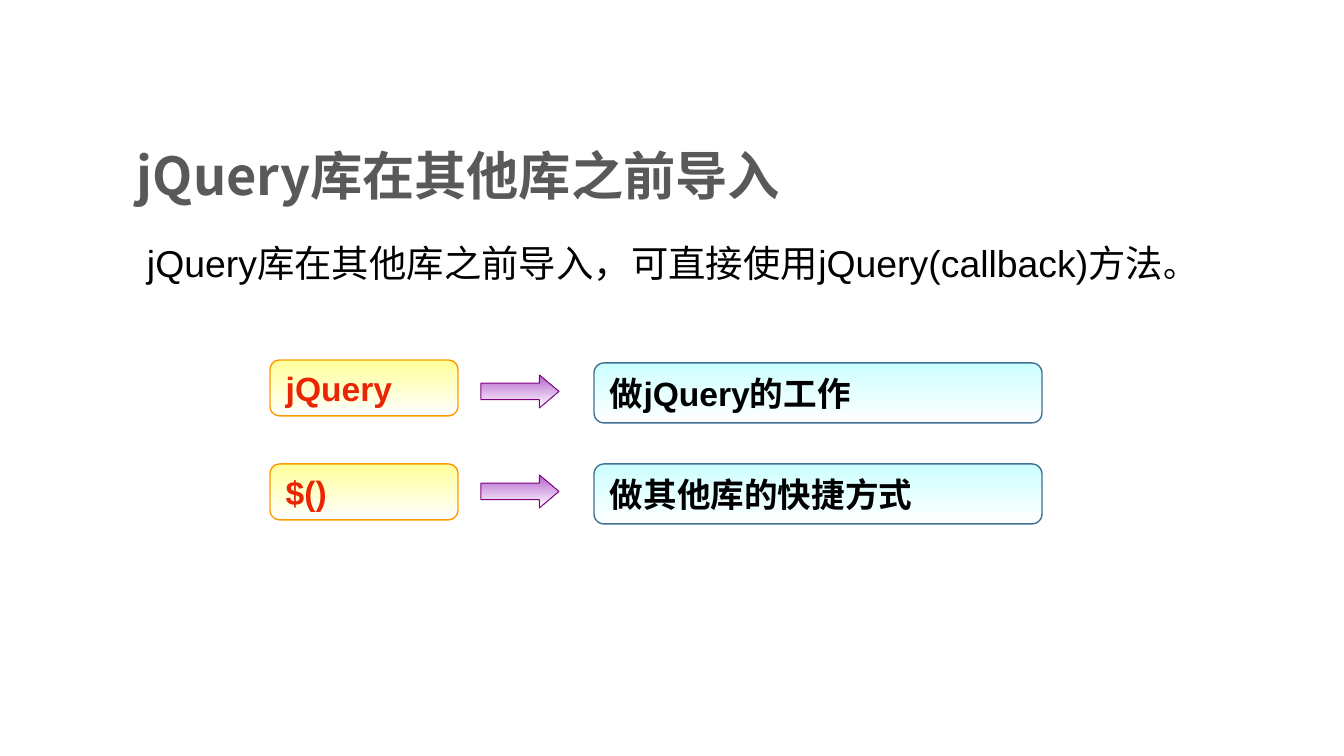
from dataclasses import dataclass

from pptx import Presentation
from pptx.dml.color import RGBColor
from pptx.enum.shapes import MSO_SHAPE as Preset
from pptx.enum.text import MSO_ANCHOR as Anchor, MSO_AUTO_SIZE as AutoSize, PP_ALIGN as Align
from pptx.oxml.ns import qn
from pptx.util import Emu, Pt

EMU_PER_PX = 914400 / 134.4
LATIN, CJK = "Arial", "Noto Sans CJK SC"
COLORS = {
    "title": "595959", "text": "000000", "white": "FFFFFF",
    "name_text": "EA2504", "name_fill": "FFFF99", "name_line": "FF9900",
    "role_fill": "CCFFFF", "role_line": "3F7091",
    "arrow_fill": "B563CF", "arrow_line": "800080",
}


@dataclass
class Area:
    left: int
    top: int
    width: int
    height: int

    def emu(self) -> list[Emu]:
        return [px(n) for n in (self.left, self.top, self.width, self.height)]


@dataclass
class Span:
    text: str
    size: int
    color: str = "text"
    bold: bool = False
    font: str = LATIN


@dataclass
class Mapping:
    """One row: a name, an arrow and the role that the name plays."""
    name: str
    role: str
    name_top: int
    arrow_top: int
    role_top: int


MAPPINGS = [
    Mapping("jQuery", "做jQuery的工作", 360, 375, 363),
    Mapping("$()", "做其他库的快捷方式", 464, 475, 464),
]


def px(length: int) -> Emu:
    return Emu(round(length * EMU_PER_PX))


def rgb(name: str) -> RGBColor:
    return RGBColor.from_string(COLORS[name])


def write(box, spans: list[Span], anchor: Anchor = Anchor.TOP, inset: int = 13) -> None:
    frame = box.text_frame
    frame.auto_size = AutoSize.NONE
    frame.word_wrap = True
    frame.vertical_anchor = anchor
    frame.margin_left, frame.margin_right = px(inset), px(13)
    frame.margin_top = frame.margin_bottom = px(7)
    para = frame.paragraphs[0]
    para.alignment = Align.LEFT
    for span in spans:
        run = para.add_run()
        run.text = span.text
        run.font.name = span.font
        run.font.size = Pt(span.size)
        run.font.bold = span.bold
        run.font.color.rgb = rgb(span.color)
        east_asian = run.font._element.makeelement(qn("a:ea"), {"typeface": CJK})
        run.font._element.find(qn("a:latin")).addnext(east_asian)


def add_gradient_shape(page, preset: Preset, area: Area, style: str, line_width: float):
    """Add a shape that fades downwards from its own colour to white."""
    shape = page.shapes.add_shape(preset, *area.emu())
    shape.shadow.inherit = False
    shape.fill.gradient()
    shape.fill.gradient_angle = 270
    for stop, color in zip(shape.fill.gradient_stops, (f"{style}_fill", "white")):
        stop.color.rgb = rgb(color)
    shape.line.color.rgb = rgb(f"{style}_line")
    shape.line.width = Pt(line_width)
    return shape


def add_mapping(page, row: Mapping) -> None:
    name = add_gradient_shape(page, Preset.ROUNDED_RECTANGLE,
                              Area(270, row.name_top, 188, 56), "name", 0.75)
    write(name, [Span(row.name, 18, "name_text", True)], Anchor.MIDDLE)
    role = add_gradient_shape(page, Preset.ROUNDED_RECTANGLE,
                              Area(594, row.role_top, 448, 60), "role", 0.75)
    write(role, [Span(row.role, 18, bold=True)])
    arrow = add_gradient_shape(page, Preset.RIGHT_ARROW,
                               Area(481, row.arrow_top, 78, 33), "arrow", 0.5)
    arrow.adjustments[1] = 0.59


def main() -> None:
    deck = Presentation()
    deck.slide_width, deck.slide_height = px(1344), px(756)
    page = deck.slides.add_slide(deck.slide_layouts[5])

    title = page.shapes.title
    title.left, title.top, title.width, title.height = Area(124, 132, 964, 85).emu()
    write(title, [Span("jQuery库在其他库之前导入", 28, "title", True, CJK)], Anchor.MIDDLE)

    body = page.shapes.add_textbox(*Area(124, 233, 1165, 59).emu())
    write(body, [Span("jQuery库在其他库之前导入，可直接使用jQuery(callback)方法", 20),
                 Span("。", 18)], inset=23)

    for row in MAPPINGS:
        add_mapping(page, row)
    deck.save("out.pptx")


if __name__ == "__main__":
    main()
